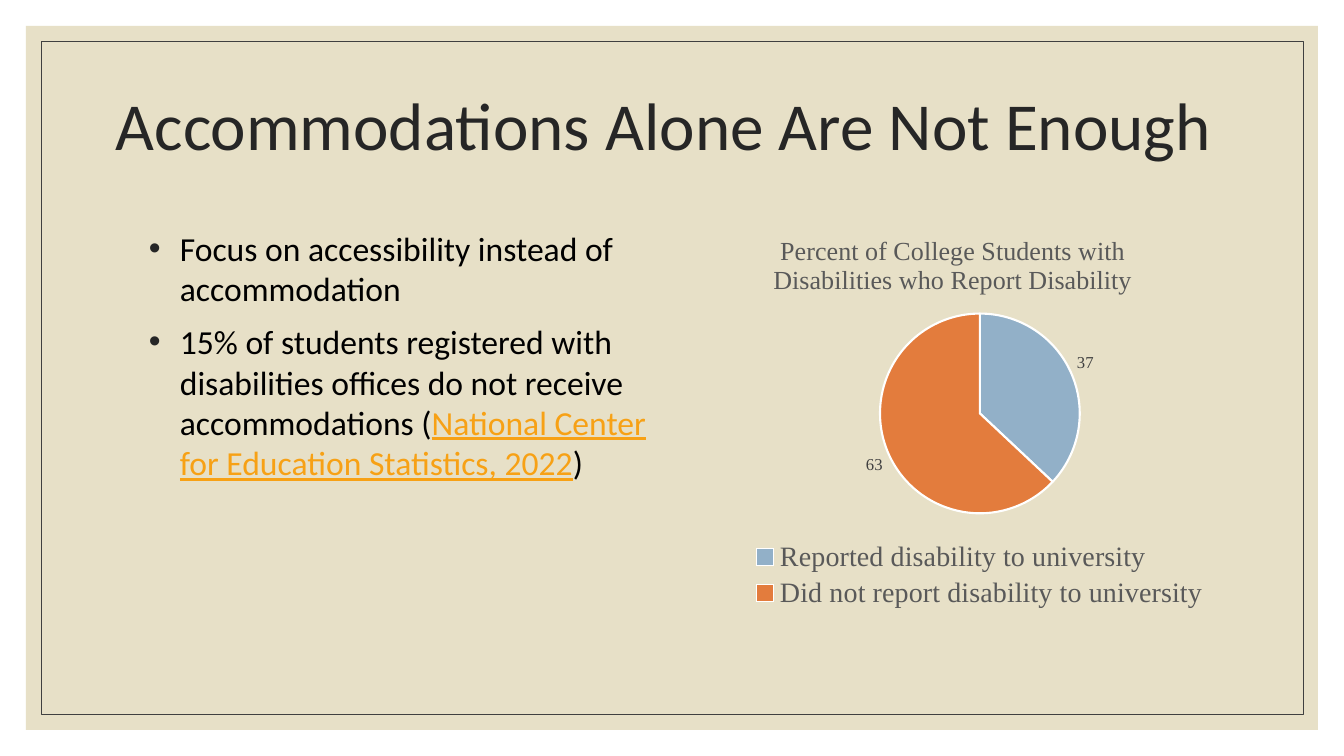
from lxml.etree import SubElement
from pptx import Presentation
from pptx.chart.data import CategoryChartData
from pptx.dml.color import RGBColor
from pptx.enum.chart import XL_CHART_TYPE, XL_LABEL_POSITION, XL_LEGEND_POSITION
from pptx.enum.shapes import MSO_SHAPE
from pptx.enum.text import MSO_ANCHOR
from pptx.oxml import parse_xml
from pptx.oxml.ns import nsdecls, qn
from pptx.util import Emu, Pt

PX = 914400 / 100.8
COLORS = {
    "sand": "E7E0C7", "frame": "404040", "title": "262626", "text": "000000",
    "link": "F7A115", "muted": "595959", "blue": "92B0C8", "orange": "E37C3D",
    "white": "FFFFFF",
}


def px(n):
    return Emu(round(n * PX))


def color(name):
    return RGBColor.from_string(COLORS[name])


class SlideBuilder:
    def __init__(self, slide):
        self.s = slide

    def style(self, font, name, size, tint, **formats):
        font.color.rgb = color(tint)
        for key, value in {"name": name, "size": Pt(size), **formats}.items():
            setattr(font, key, value)

    def rect(self, box, fill=None, line=None):
        sp = self.s.shapes.add_shape(MSO_SHAPE.RECTANGLE, *map(px, box))
        sp.shadow.inherit = False
        if fill:
            sp.fill.solid()
            sp.fill.fore_color.rgb = color(fill)
        else:
            sp.fill.background()
        if line:
            sp.line.color.rgb = color(line)
            sp.line.width = Pt(0.5)
        else:
            sp.line.fill.background()

    def text(self, box, paragraphs, size, anchor=MSO_ANCHOR.TOP, spacing=1.0, bullet=False):
        tf = self.s.shapes.add_textbox(*map(px, box)).text_frame
        tf.word_wrap = True
        tf.vertical_anchor = anchor
        for i, runs in enumerate(paragraphs):
            p = tf.add_paragraph() if i else tf.paragraphs[0]
            p.line_spacing = spacing
            if i:
                p.space_before = Pt(9)
            if bullet:
                self.bullet(p)
            for content, tint, underline in runs:
                r = p.add_run()
                r.text = content
                self.style(r.font, "Calibri", size, tint, underline=underline)

    def bullet(self, p):
        pPr = p._p.get_or_add_pPr()
        pPr.set("marL", str(px(31)))
        pPr.set("indent", str(-px(31)))
        tint = SubElement(pPr, qn("a:buClr"))
        SubElement(tint, qn("a:srgbClr"), val=COLORS["title"])
        SubElement(pPr, qn("a:buFont"), typeface="Arial")
        SubElement(pPr, qn("a:buChar"), char="•")

    def place(self, element, box, chart_box, inner=False):
        """Fix a chart part at a slide position, as fractions of the chart."""
        left, top, width, height = chart_box
        fractions = {"x": (box[0] - left) / width, "y": (box[1] - top) / height}
        if len(box) == 4:
            fractions.update(w=box[2] / width, h=box[3] / height)
        tags = '<c:layoutTarget val="inner"/>' if inner else ""
        tags += '<c:xMode val="edge"/><c:yMode val="edge"/>'
        tags += "".join(f'<c:{k} val="{v:.3f}"/>' for k, v in fractions.items())
        layout = parse_xml(f'<c:layout {nsdecls("c")}><c:manualLayout>{tags}'
                           "</c:manualLayout></c:layout>")
        for old in element.findall(qn("c:layout")):
            element.remove(old)
        before = element.find(qn("c:tx"))
        if before is None:
            before = element.find(qn("c:legendPos"))
        if before is None:
            element.insert(0, layout)
        else:
            before.addnext(layout)

    def pie(self, box, title, series, slices, title_at, plot_at, legend_at):
        data = CategoryChartData()
        data.categories = [name for name, _, _ in slices]
        data.add_series(series, [value for _, value, _ in slices])
        chart = self.s.shapes.add_chart(XL_CHART_TYPE.PIE, *map(px, box), data).chart
        serif = "Times New Roman"
        self.style(chart.font, serif, 10, "text")

        # Chart title
        chart.has_title = True
        p = chart.chart_title.text_frame.paragraphs[0]
        p.line_spacing = 0.9
        for i, line in enumerate(title):
            if i:
                p.add_line_break()
            r = p.add_run()
            r.text = line
            self.style(r.font, serif, 18.6, "muted", bold=False)
        chart.chart_title.include_in_layout = False

        # Slices and value labels
        plot = chart.plots[0]
        plot.vary_by_categories = True
        for i, (_, _, tint) in enumerate(slices):
            fmt = plot.series[0].points[i].format
            fmt.fill.solid()
            fmt.fill.fore_color.rgb = color(tint)
            fmt.line.color.rgb = color("white")
            fmt.line.width = Pt(1.5)
        labels = plot.series[0].data_labels
        labels.show_value = True
        labels.position = XL_LABEL_POSITION.OUTSIDE_END
        self.style(labels.font, serif, 11.9, "frame")

        # Legend
        chart.has_legend = True
        chart.legend.position = XL_LEGEND_POSITION.BOTTOM
        chart.legend.include_in_layout = False
        self.style(chart.legend.font, serif, 20, "muted")

        root = chart._chartSpace.chart
        for tag, spot in (("title", title_at), ("plotArea", plot_at), ("legend", legend_at)):
            self.place(root.find(qn(f"c:{tag}")), spot, box, inner=tag == "plotArea")


def main():
    prs = Presentation()
    prs.slide_width, prs.slide_height = px(1344), px(756)
    b = SlideBuilder(prs.slides.add_slide(prs.slide_layouts[6]))

    # Background panel and frame
    b.rect((26, 26, 1292, 704), fill="sand")
    b.rect((41, 41, 1262, 673), line="frame")

    # Title and bullets
    b.text((106, 35, 1165, 188), [[("Accommodations Alone Are Not Enough", "title", False)]],
           48, anchor=MSO_ANCHOR.MIDDLE, spacing=0.9)
    b.text((139, 223, 549, 401), [
        [("Focus on accessibility instead of accommodation", "text", False)],
        [("15% of students registered with disabilities offices do not receive "
          "accommodations (", "text", False),
         ("National Center for Education Statistics, 2022", "link", True),
         (")", "text", False)],
    ], 24, bullet=True)

    # Pie chart
    b.pie((706, 214, 549, 401),
          ("Percent of College Students with", "Disabilities who Report Disability"),
          "Series 1",
          [("Reported disability to university", 37, "blue"),
           ("Did not report disability to university", 63, "orange")],
          title_at=(770, 233), plot_at=(880, 313, 200, 201), legend_at=(750, 536, 460, 78))

    prs.save("out.pptx")


if __name__ == "__main__":
    main()
